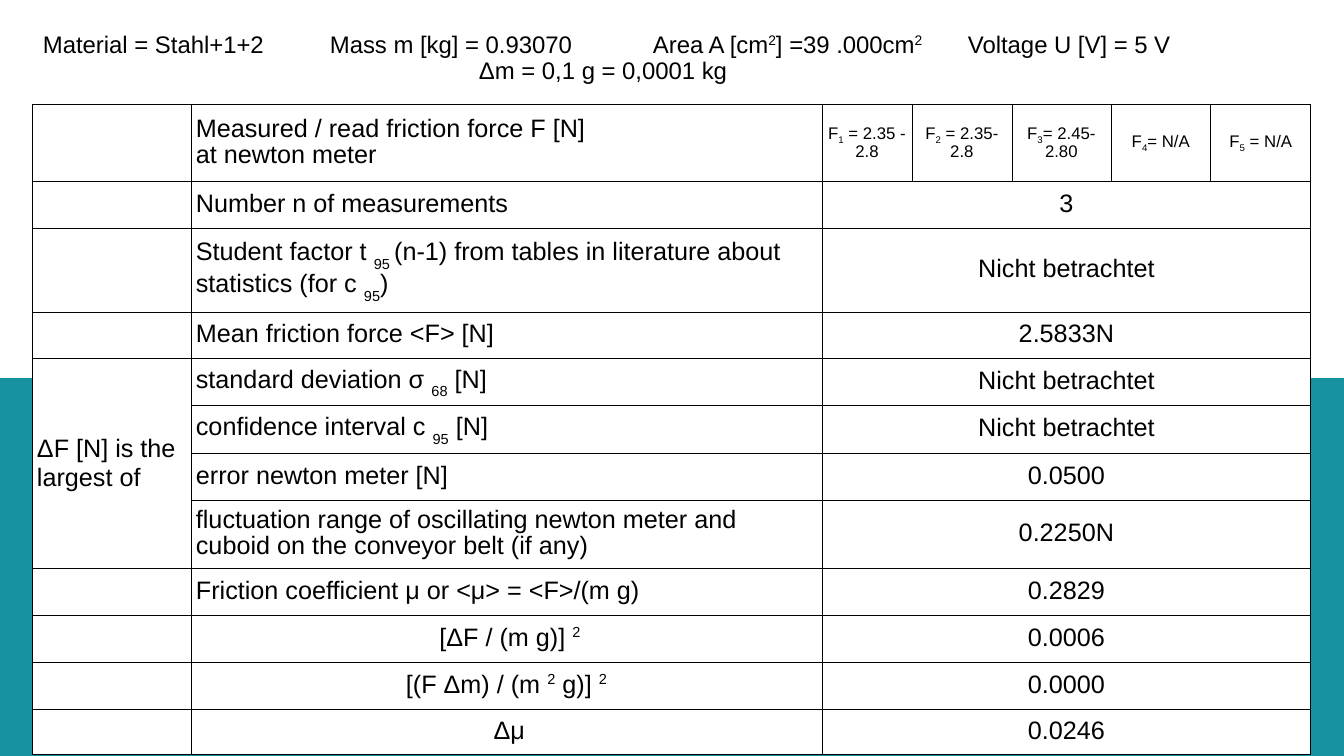
import pptx
import pptx.util
import pptx.dml.color
import pptx.enum.shapes
import pptx.enum.text
import pptx.oxml
import pptx.oxml.ns

BLACK = pptx.dml.color.RGBColor(0x00, 0x00, 0x00)
WHITE = pptx.dml.color.RGBColor(0xFF, 0xFF, 0xFF)
TEAL = pptx.dml.color.RGBColor(0x17, 0x92, 0xA0)
LEFT = pptx.enum.text.PP_ALIGN.LEFT
MID = pptx.enum.text.PP_ALIGN.CENTER
PX = 914400 / 100.8
FONT = "Arial"
SIZE = 18
SMALL = 12
SUB = -33
LOW = -25
SUP = 33

# Runs alternate between normal and shifted text.
HEAD = [
    (["Material = Stahl+1+2\tMass m [kg] = 0.93070\tArea A [cm", "2",
      "] =39 .000cm", "2", "\tVoltage U [V] = 5 V"], [287, 610, 925]),
    (["\tΔm = 0,1 g = 0,0001 kg"], [436]),
]
FORCES = [
    ["F", "1", " = 2.35 - 2.8"],
    ["F", "2", " = 2.35-2.8"],
    ["F", "3", "= 2.45-2.80"],
    ["F", "4", "= N/A"],
    ["F", "5", " = N/A"],
]
TITLE = [["Measured / read friction force F [N]"], ["at newton meter"]]
GROUP = ["ΔF [N] is the largest of"]
ROWS = [
    (["Number n of measurements"], LEFT, SUB, "3"),
    (["Student factor t ", "95 ",
      "(n-1) from tables in literature about statistics (for c ", "95", ")"],
     LEFT, SUB, "Nicht betrachtet"),
    (["Mean friction force <F> [N]"], LEFT, SUB, "2.5833N"),
    (["standard deviation σ ", "68", " [N]"], LEFT, SUB, "Nicht betrachtet"),
    (["confidence interval c ", "95", " [N]"], LEFT, SUB, "Nicht betrachtet"),
    (["error newton meter [N]"], LEFT, SUB, "0.0500"),
    (["fluctuation range of oscillating newton meter and cuboid on the "
      "conveyor belt (if any)"], LEFT, SUB, "0.2250N"),
    (["Friction coefficient μ or <μ> = <F>/(m g)"], LEFT, SUB, "0.2829"),
    ([" [ΔF / (m g)] ", "2"], MID, SUP, "0.0006"),
    (["[(F Δm) / (m ", "2", " g)] ", "2"], MID, SUP, "0.0000"),
    ([" Δμ"], MID, SUP, "0.0246"),
]
WIDTHS = [159, 631, 90, 100, 99, 100, 100]
HEIGHTS = [77, 47, 84, 46, 47, 48, 47, 68, 47, 47, 47, 46]
GROUP_TOP, GROUP_END = 4, 7


def emu(px):
    return pptx.util.Emu(round(px * PX))


def write(para, runs, size, shift, align=LEFT, space=0.93):
    para.alignment = align
    para.line_spacing = space
    for i, text in enumerate(runs):
        run = para.add_run()
        run.text = text
        run.font.size = pptx.util.Pt(size)
        run.font.name = FONT
        run.font.color.rgb = BLACK
        if i % 2:
            run.font._element.set("baseline", str(shift * 1000))


def add_tabs(para, stops):
    props = para._p.get_or_add_pPr()
    tabs = "".join(f'<a:tab pos="{emu(x)}" algn="l"/>' for x in stops)
    props.append(pptx.oxml.parse_xml(
        f'<a:tabLst {pptx.oxml.ns.nsdecls("a")}>{tabs}</a:tabLst>'))


def style(cell):
    cell.fill.solid()
    cell.fill.fore_color.rgb = WHITE
    props = cell._tc.get_or_add_tcPr()
    for i, side in enumerate(("lnL", "lnR", "lnT", "lnB")):
        props.insert(i, pptx.oxml.parse_xml(
            f'<a:{side} {pptx.oxml.ns.nsdecls("a")} w="{pptx.util.Pt(0.57)}">'
            f'<a:solidFill><a:srgbClr val="{BLACK}"/></a:solidFill></a:{side}>'))


def fill(cell, lines, size=SIZE, shift=SUB, align=LEFT, space=0.93,
         pad=(5, 0)):
    cell.vertical_anchor = pptx.enum.text.MSO_ANCHOR.MIDDLE
    cell.margin_left = cell.margin_right = emu(pad[0])
    cell.margin_top = cell.margin_bottom = emu(pad[1])
    frame = cell.text_frame
    for i, runs in enumerate(lines):
        para = frame.add_paragraph() if i else frame.paragraphs[0]
        write(para, runs, size, shift, align, space)


def add_band(slide):
    band = slide.shapes.add_shape(
        pptx.enum.shapes.MSO_SHAPE.RECTANGLE,
        emu(0), emu(378), emu(1344), emu(378))
    band.shadow.inherit = False
    band.fill.solid()
    band.fill.fore_color.rgb = TEAL
    band.line.fill.background()


def add_head(slide):
    frame = slide.shapes.add_textbox(
        emu(33), emu(13), emu(1280), emu(92)).text_frame
    frame.word_wrap = True
    frame.vertical_anchor = pptx.enum.text.MSO_ANCHOR.MIDDLE
    frame.margin_left = frame.margin_right = emu(10)
    for i, (runs, stops) in enumerate(HEAD):
        para = frame.add_paragraph() if i else frame.paragraphs[0]
        write(para, runs, 17.1, SUP, space=0.9)
        add_tabs(para, stops)


def add_grid(slide):
    grid = slide.shapes.add_table(
        len(HEIGHTS), len(WIDTHS), emu(32), emu(104),
        emu(sum(WIDTHS)), emu(sum(HEIGHTS))).table
    grid.first_row = False
    grid.horz_banding = False
    for col, width in zip(grid.columns, WIDTHS):
        col.width = emu(width)
    for row, height in zip(grid.rows, HEIGHTS):
        row.height = emu(height)
    for cell in grid.iter_cells():
        style(cell)

    fill(grid.cell(0, 1), TITLE)
    for c, runs in enumerate(FORCES, 2):
        fill(grid.cell(0, c), [runs], SMALL, LOW, MID)
    for r, (runs, align, shift, value) in enumerate(ROWS, 1):
        fill(grid.cell(r, 1), [runs], SIZE, shift, align)
        grid.cell(r, 2).merge(grid.cell(r, len(WIDTHS) - 1))
        fill(grid.cell(r, 2), [[value]], align=MID, pad=(12, 6))
    grid.cell(GROUP_TOP, 0).merge(grid.cell(GROUP_END, 0))
    fill(grid.cell(GROUP_TOP, 0), [GROUP], space=1.02, pad=(5, 5))


def main():
    deck = pptx.Presentation()
    deck.slide_width = emu(1344)
    deck.slide_height = emu(756)
    slide = deck.slides.add_slide(deck.slide_layouts[6])
    add_band(slide)
    add_head(slide)
    add_grid(slide)
    deck.save("out.pptx")


if __name__ == "__main__":
    main()
